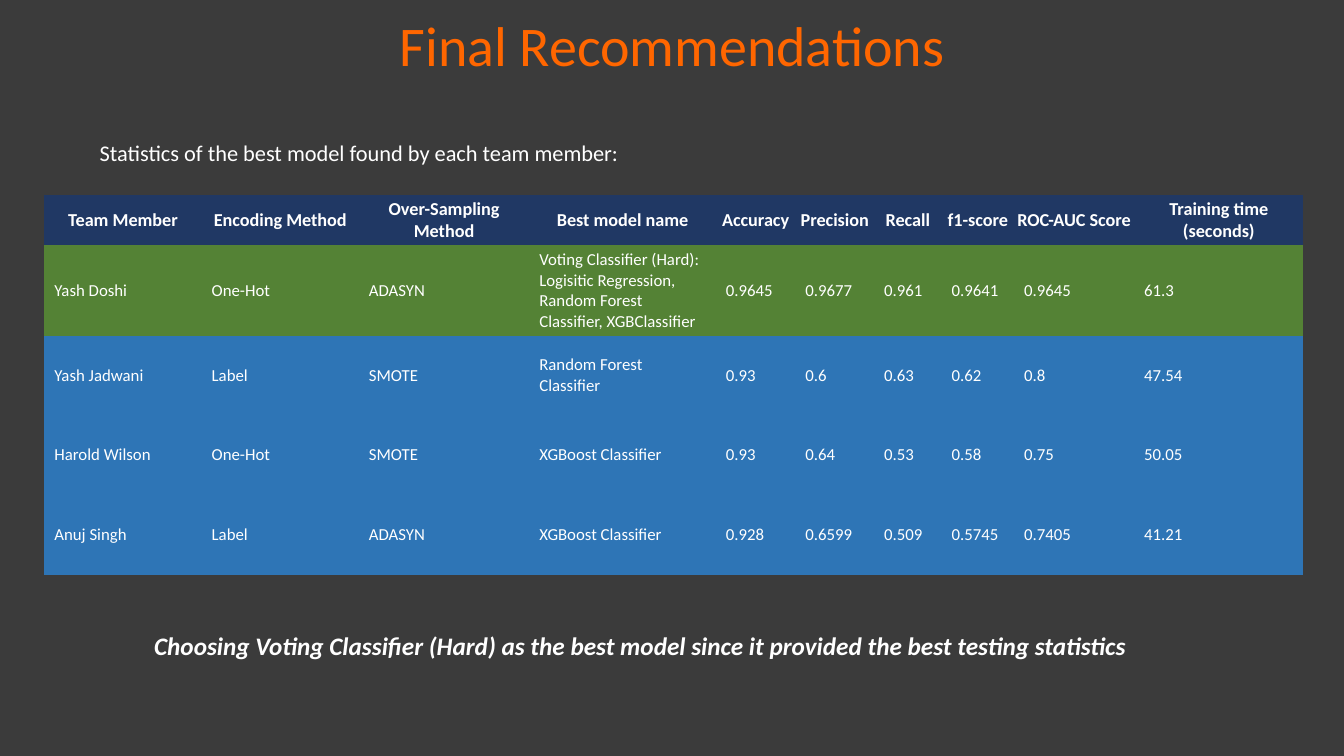
from dataclasses import dataclass

from pptx import Presentation
from pptx.dml.color import RGBColor
from pptx.enum.text import MSO_ANCHOR as Anchor, MSO_AUTO_SIZE as AutoSize, PP_ALIGN as Align
from pptx.oxml.ns import qn
from pptx.util import Inches, Pt


@dataclass(frozen=True)
class Theme:
    """Colours, type sizes and font of the slide."""
    font: str = "Calibri"
    background: str = "3B3B3B"
    accent: str = "FF6600"
    text: str = "FFFFFF"
    header: str = "203864"
    best: str = "548235"
    other: str = "2E75B6"
    title_size: int = 40
    conclusion_size: int = 18
    intro_size: int = 16
    header_size: int = 13
    body_size: int = 12


THEME = Theme()
PLAIN_TABLE_STYLE = "{2D5ABB26-0587-4C30-8999-92F81FD0307C}"
COLUMNS = [
    ("Team Member", 1.56), ("Encoding Method", 1.56),
    ("Over-Sampling Method", 1.69), ("Best model name", 1.85),
    ("Accuracy", 0.79), ("Precision", 0.78), ("Recall", 0.67),
    ("f1-score", 0.72), ("ROC-AUC Score", 1.19),
    ("Training time (seconds)", 1.68),
]
RESULTS = [
    ("Yash Doshi", "One-Hot", "ADASYN",
     "Voting Classifier (Hard): Logisitic Regression, Random Forest Classifier, XGBClassifier",
     "0.9645", "0.9677", "0.961", "0.9641", "0.9645", "61.3"),
    ("Yash Jadwani", "Label", "SMOTE", "Random Forest Classifier",
     "0.93", "0.6", "0.63", "0.62", "0.8", "47.54"),
    ("Harold Wilson", "One-Hot", "SMOTE", "XGBoost Classifier",
     "0.93", "0.64", "0.53", "0.58", "0.75", "50.05"),
    ("Anuj Singh", "Label", "ADASYN", "XGBoost Classifier",
     "0.928", "0.6599", "0.509", "0.5745", "0.7405", "41.21"),
]
ROW_WEIGHTS = [0.5] + [0.79] * len(RESULTS)


def share_box(presentation, left, top, width, height):
    """Turn percentages of the slide's size into a box."""
    across, down = presentation.slide_width / 100, presentation.slide_height / 100
    return int(left * across), int(top * down), int(width * across), int(height * down)


def write(frame, text, size, color=THEME.text, align=Align.LEFT, bold=False, italic=False):
    """Write one styled run into a text frame."""
    paragraph = frame.paragraphs[0]
    paragraph.alignment = align
    run = paragraph.add_run()
    run.text = text
    font = run.font
    font.name, font.size, font.bold, font.italic = THEME.font, Pt(size), bold, italic
    font.color.rgb = RGBColor.from_string(color)


def add_text(slide, box, text, size, **style):
    """Place a wrapping line of text in the box."""
    frame = slide.shapes.add_textbox(*box).text_frame
    frame.word_wrap = True
    frame.auto_size = AutoSize.SHAPE_TO_FIT_TEXT
    write(frame, text, size, **style)


def fill_row(table, index, texts, fill, size, **style):
    """Fill one table row with styled cells."""
    for cell, text in zip(table.rows[index].cells, texts):
        cell.fill.solid()
        cell.fill.fore_color.rgb = RGBColor.from_string(fill)
        cell.vertical_anchor = Anchor.MIDDLE
        write(cell.text_frame, text, size, **style)


def add_results_table(slide, box):
    """Place the table of model statistics in the box."""
    left, top, width, height = box
    table = slide.shapes.add_table(len(ROW_WEIGHTS), len(COLUMNS), *box).table
    table._tbl.tblPr.find(qn("a:tableStyleId")).text = PLAIN_TABLE_STYLE
    table.horz_banding = False
    names, column_weights = zip(*COLUMNS)
    for column, weight in zip(table.columns, column_weights):
        column.width = int(width * weight / sum(column_weights))
    for row, weight in zip(table.rows, ROW_WEIGHTS):
        row.height = int(height * weight / sum(ROW_WEIGHTS))
    fill_row(table, 0, names, THEME.header, THEME.header_size, align=Align.CENTER, bold=True)
    for cell in table.rows[0].cells:
        cell.margin_left = cell.margin_right = cell.margin_top = Inches(0.01)
        cell.margin_bottom = 0
    for index, result in enumerate(RESULTS, start=1):
        fill_row(table, index, result, THEME.best if index == 1 else THEME.other, THEME.body_size)


def build_recommendations(presentation):
    """Add the recommendations slide."""
    slide = presentation.slides.add_slide(presentation.slide_layouts[6])
    background = slide.background.fill
    background.solid()
    background.fore_color.rgb = RGBColor.from_string(THEME.background)
    add_text(slide, share_box(presentation, 0, 0.8, 100, 10.27), "Final Recommendations",
             THEME.title_size, color=THEME.accent, align=Align.CENTER)
    add_results_table(slide, share_box(presentation, 3.3, 25.73, 93.7, 48.8))
    add_text(slide, share_box(presentation, 6.68, 17.73, 47.19, 4.93),
             "Statistics of the best model found by each team member:", THEME.intro_size)
    add_text(slide, share_box(presentation, 10.73, 82.67, 78.47, 5.33),
             "Choosing Voting Classifier (Hard) as the best model since it provided the best testing statistics",
             THEME.conclusion_size, bold=True, italic=True)


def main():
    """Build and save the presentation."""
    presentation = Presentation()
    presentation.slide_width, presentation.slide_height = Inches(13.33), Inches(7.5)
    build_recommendations(presentation)
    presentation.save("out.pptx")


if __name__ == "__main__":
    main()
